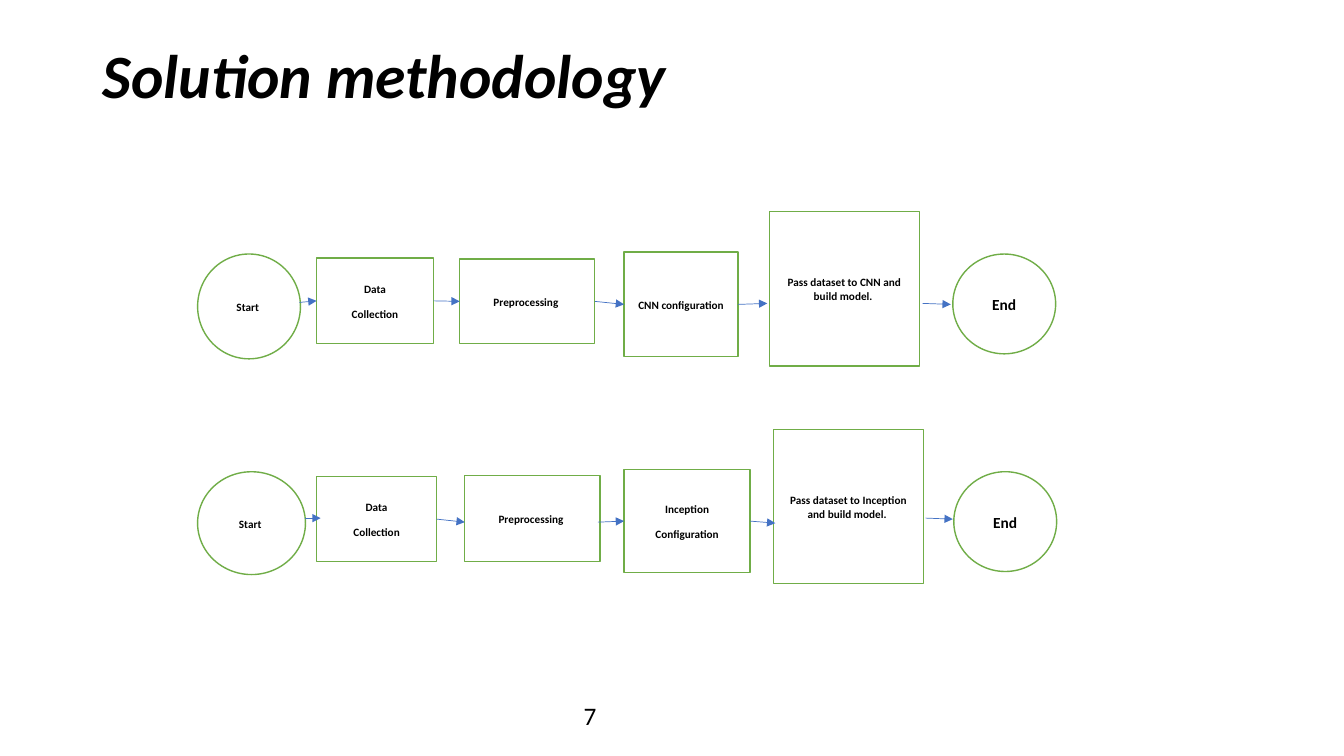
import itertools
from dataclasses import dataclass

import pptx
import pptx.dml.color
import pptx.enum.shapes
import pptx.enum.text
import pptx.oxml.ns
import pptx.util
from lxml import etree
from pptx.util import Inches

SHAPE = pptx.enum.shapes.MSO_SHAPE
RIGHT, LEFT = 3, 1
SNAP = Inches(0.021)


@dataclass(frozen=True)
class Theme:
    font: str = "Calibri"
    text: str = "000000"
    fill: str = "FFFFFF"
    outline: str = "70AD47"
    arrow: str = "4472C4"
    title_size: int = 44
    number_size: int = 18
    end_size: int = 11
    step_size: int = 8


def rgb(value):
    return pptx.dml.color.RGBColor.from_string(value)


def meets(point, corner):
    return all(abs(a - b) <= SNAP for a, b in zip(point, corner))


class FlowSlide:
    def __init__(self, deck, theme):
        self.theme = theme
        self.slide = deck.slides.add_slide(deck.slide_layouts[6])

    def style(self, paragraph, size, bold=False, italic=False):
        font = paragraph.font
        font.name = self.theme.font
        font.size = pptx.util.Pt(size)
        font.bold = bold
        font.italic = italic
        font.color.rgb = rgb(self.theme.text)

    def label(self, text, box, size, bold=False, italic=False):
        frame = self.slide.shapes.add_textbox(*map(Inches, box)).text_frame
        frame.word_wrap = True
        frame.text = text
        self.style(frame.paragraphs[0], size, bold, italic)
        return frame.paragraphs[0]

    def step(self, text, box, kind, size):
        step = self.slide.shapes.add_shape(kind, *map(Inches, box))
        step.shadow.inherit = False
        step.fill.solid()
        step.fill.fore_color.rgb = rgb(self.theme.fill)
        step.line.color.rgb = rgb(self.theme.outline)
        step.line.width = pptx.util.Pt(1)
        frame = step.text_frame
        frame.word_wrap = True
        frame.vertical_anchor = pptx.enum.text.MSO_ANCHOR.MIDDLE
        frame.text = text
        for paragraph in frame.paragraphs:
            paragraph.alignment = pptx.enum.text.PP_ALIGN.CENTER
            paragraph.line_spacing = 1.07
            paragraph.space_after = pptx.util.Pt(8)
            self.style(paragraph, size, bold=True)
        return step

    def arrow(self, source, target, ends):
        x1, y1, x2, y2 = map(Inches, ends)
        arrow = self.slide.shapes.add_connector(
            pptx.enum.shapes.MSO_CONNECTOR.STRAIGHT, x1, y1, x2, y2)
        arrow.line.color.rgb = rgb(self.theme.arrow)
        arrow.line.width = pptx.util.Pt(0.5)
        qn = pptx.oxml.ns.qn
        etree.SubElement(arrow.line._get_or_add_ln(), qn("a:tailEnd"), type="triangle")
        etree.SubElement(arrow._element.spPr, qn("a:effectLst"))
        right = (source.left + source.width, source.top + source.height // 2)
        left = (target.left, target.top + target.height // 2)
        if source.auto_shape_type == SHAPE.RECTANGLE and meets((x1, y1), right):
            arrow.begin_connect(source, RIGHT)
        if target.auto_shape_type == SHAPE.RECTANGLE and meets((x2, y2), left):
            arrow.end_connect(target, LEFT)

    def flow(self, steps, arrows):
        shapes = []
        for text, box in steps:
            kind = SHAPE.OVAL if text in ("Start ", "End") else SHAPE.RECTANGLE
            size = self.theme.end_size if text == "End" else self.theme.step_size
            shapes.append(self.step(text, box, kind, size))
        for (source, target), ends in zip(itertools.pairwise(shapes), arrows):
            self.arrow(source, target, ends)


FLOWS = [
    (
        [
            ("Start ", (1.96, 2.52, 1.02, 1.04)),
            ("Data\nCollection", (3.14, 2.56, 1.16, 0.85)),
            ("Preprocessing ", (4.56, 2.57, 1.34, 0.84)),
            ("CNN configuration", (6.19, 2.5, 1.13, 1.04)),
            ("Pass dataset to CNN and build model. ", (7.63, 2.1, 1.49, 1.53)),
            ("End", (9.45, 2.52, 1.02, 0.99)),
        ],
        [
            (2.97, 3, 3.12, 3),
            (4.3, 3, 4.57, 3.01),
            (5.92, 3.01, 6.2, 3.02),
            (7.33, 3, 7.61, 3.01),
            (9.15, 3.01, 9.43, 3.02),
        ],
    ),
    (
        [
            ("Start ", (1.96, 4.68, 1.07, 1.02)),
            ("Data\nCollection", (3.14, 4.73, 1.19, 0.84)),
            ("Preprocessing ", (4.61, 4.72, 1.34, 0.85)),
            ("Inception\nConfiguration", (6.19, 4.66, 1.25, 1.02)),
            ("Pass dataset to Inception and build model. ", (7.67, 4.26, 1.49, 1.53)),
            ("End", (9.46, 4.68, 1.02, 0.99)),
        ],
        [
            (3.03, 5.14, 3.18, 5.14),
            (4.33, 5.17, 4.61, 5.18),
            (5.93, 5.18, 6.2, 5.19),
            (7.42, 5.18, 7.69, 5.19),
            (9.18, 5.14, 9.45, 5.15),
        ],
    ),
]


def main():
    deck = pptx.Presentation()
    deck.slide_width = Inches(13.33)
    deck.slide_height = Inches(7.5)
    theme = Theme()
    page = FlowSlide(deck, theme)
    title = page.label("Solution methodology", (0.92, 0.4, 11.5, 1.45),
                       theme.title_size, bold=True, italic=True)
    title.line_spacing = 0.9
    for steps, arrows in FLOWS:
        page.flow(steps, arrows)
    page.label("7", (5.69, 6.9, 0.35, 0.4), theme.number_size)
    deck.save("out.pptx")


if __name__ == "__main__":
    main()
